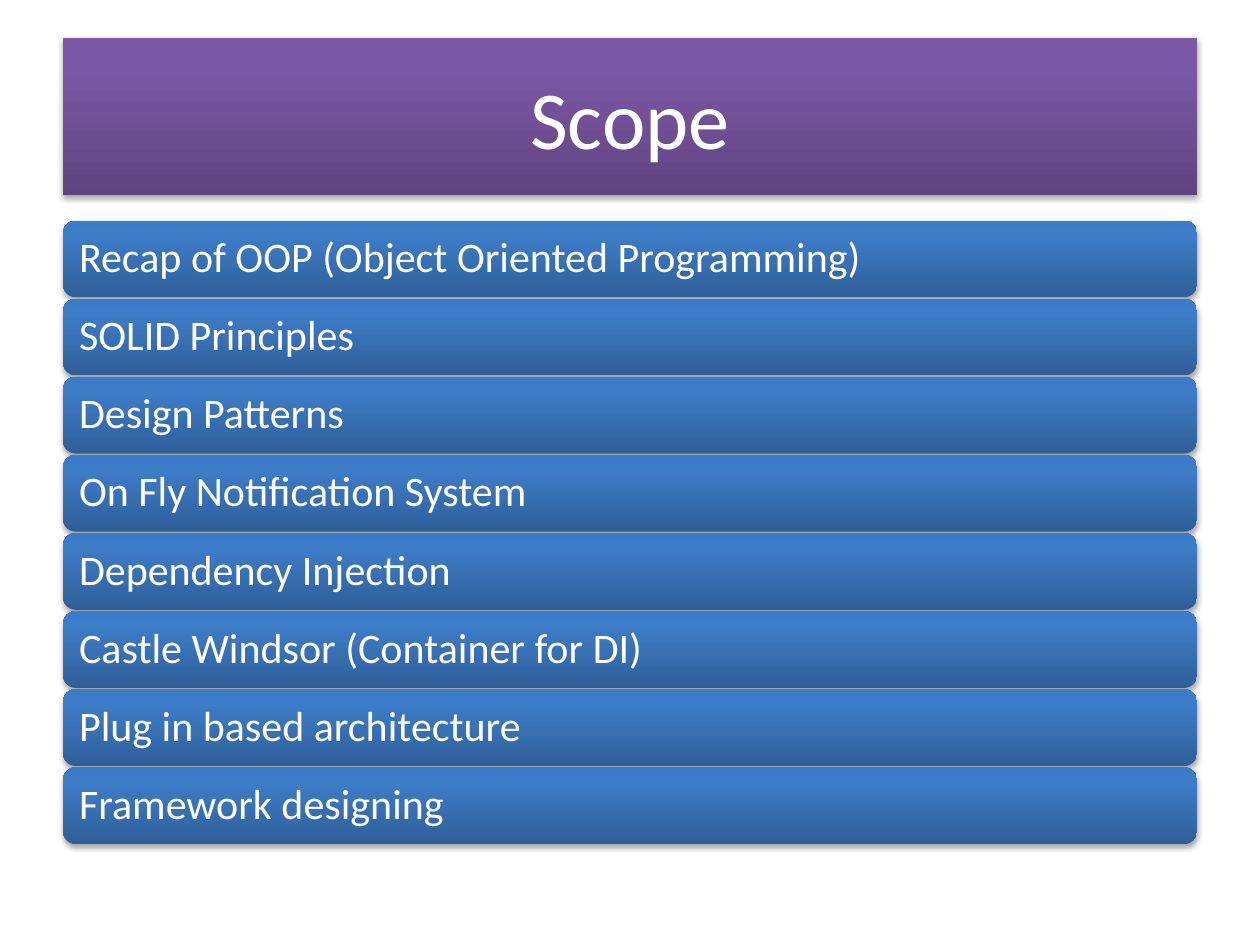
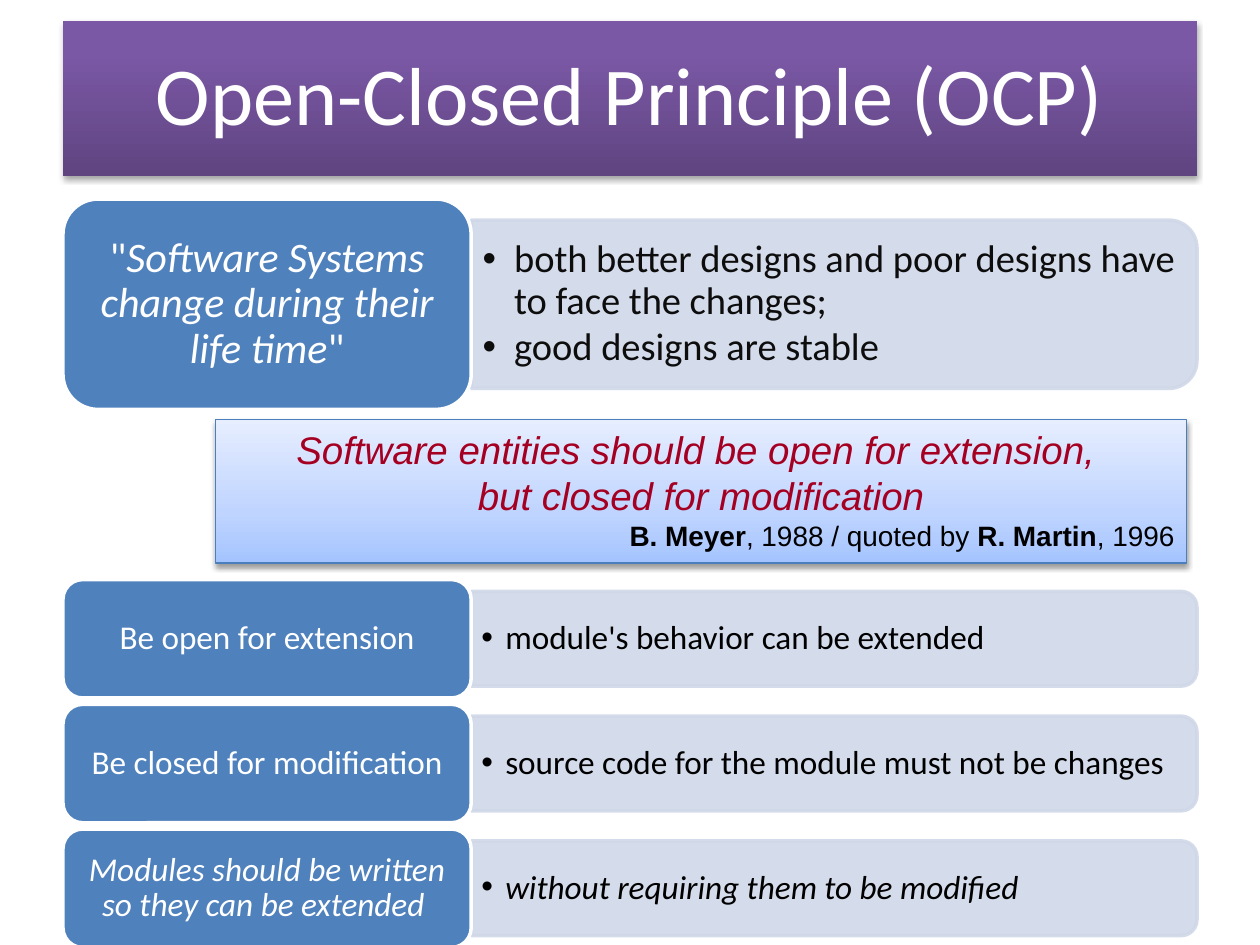
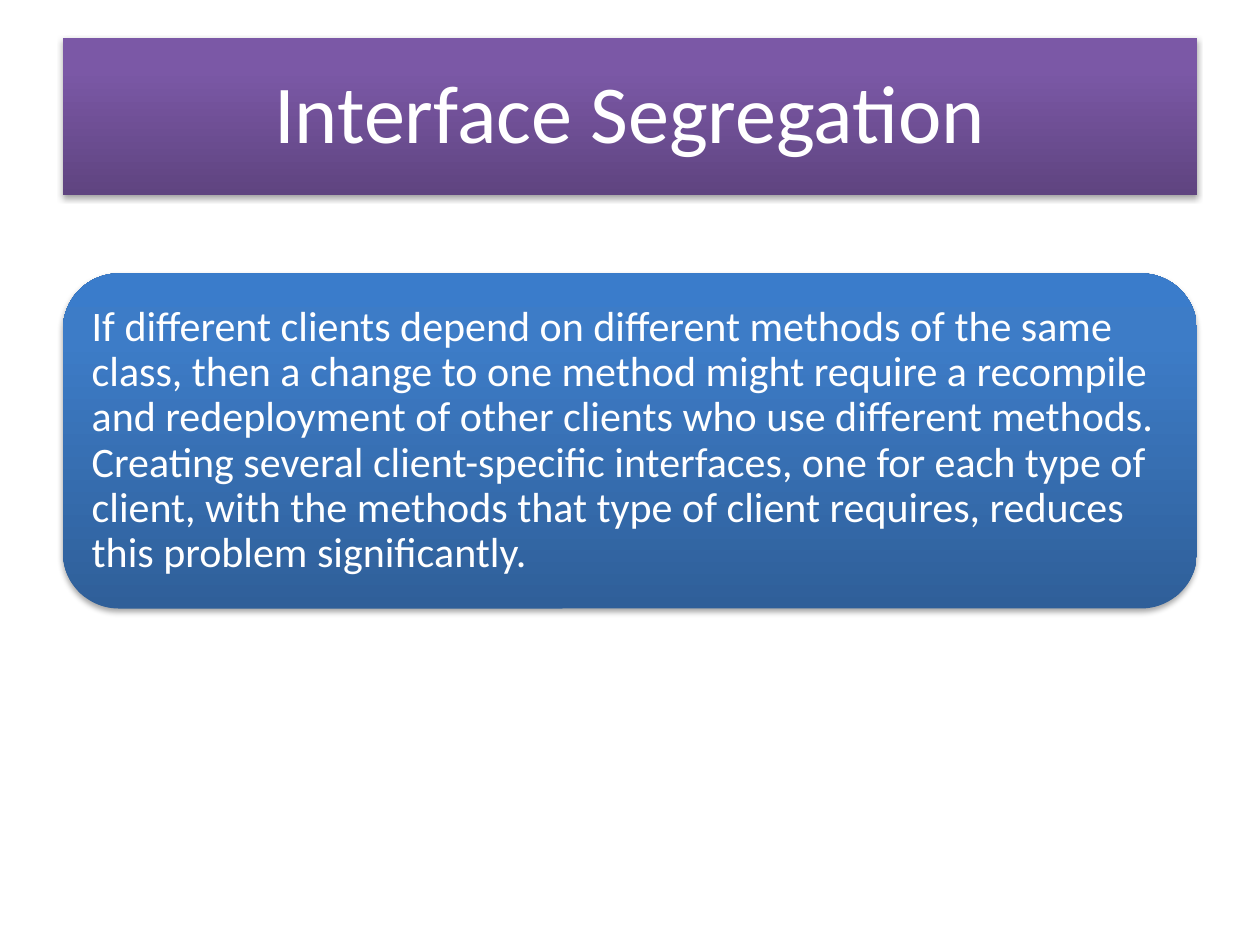
from lxml import etree
from pptx import Presentation
from pptx import util as u
from pptx.dml import color
from pptx.enum import shapes, text
from pptx.oxml import ns

COLORS = {
    "white": "FFFFFF", "black": "000000", "ink": "0D0D0D",
    "head": "4F81BD", "panel": "D0D8E8", "quote": "A50021", "quote_edge": "4B7EBC",
}
GRADIENTS = {
    "purple": [(0, "5F4480"), (80, "7B58A6"), (100, "7C57A8")],
    "blue": [(0, "2F5F99"), (80, "3D7CC7"), (100, "3A7CCB")],
    "sky": [(0, "A4C4FF"), (35, "BFD4FF"), (100, "E6EEFF")],
}
LEFT, WIDTH = 0.5, 9
HEAD_WIDTH = 3.24
CENTER, RIGHT = text.PP_ALIGN.CENTER, text.PP_ALIGN.RIGHT
RECT, ROUND = shapes.MSO_SHAPE.RECTANGLE, shapes.MSO_SHAPE.ROUNDED_RECTANGLE


def rgb(name):
    return color.RGBColor.from_string(COLORS[name])


def child(parent, tag, **attributes):
    values = {key: str(value) for key, value in attributes.items()}
    return etree.SubElement(parent, ns.qn("a:" + tag), values)


class Deck:
    def __init__(self):
        self.prs = Presentation()
        self.prs.slide_width, self.prs.slide_height = u.Inches(10), u.Inches(7.5)
        self.slide = None

    def new_slide(self):
        self.slide = self.prs.slides.add_slide(self.prs.slide_layouts[5])

    def gradient(self, shape, name, alpha=35):
        props = shape._element.spPr
        fill = etree.Element(ns.qn("a:gradFill"), rotWithShape="1")
        stops = child(fill, "gsLst")
        for position, value in GRADIENTS[name]:
            child(child(stops, "gs", pos=position * 1000), "srgbClr", val=value)
        child(fill, "lin", ang=270 * 60000, scaled=0)
        props.find(ns.qn("a:prstGeom")).addnext(fill)
        shape.shadow.inherit = False
        shadow = child(props.find(ns.qn("a:effectLst")), "outerShdw", blurRad=u.Pt(3.1),
                       dist=u.Pt(1.8), dir=90 * 60000, rotWithShape=0)
        child(child(shadow, "srgbClr", val=COLORS["black"]), "alpha", val=alpha * 1000)

    def label(self, shape, paragraphs, size, ink="white", font="Calibri", align=None,
              spacing=0.9, inset=(0.1, 0.1), anchor=text.MSO_ANCHOR.MIDDLE):
        frame = shape.text_frame
        frame.word_wrap = True
        frame.auto_size = text.MSO_AUTO_SIZE.NONE
        frame.vertical_anchor = anchor
        frame.margin_left = frame.margin_right = u.Inches(inset[0])
        frame.margin_top = frame.margin_bottom = u.Inches(inset[1])
        for number, pieces in enumerate(paragraphs):
            paragraph = frame.add_paragraph() if number else frame.paragraphs[0]
            paragraph.alignment = align or text.PP_ALIGN.LEFT
            paragraph.line_spacing = spacing
            for words, style in [(pieces, "")] if isinstance(pieces, str) else pieces:
                run = paragraph.add_run()
                run.text = words
                run.font.name, run.font.size = font, u.Pt(size)
                run.font.color.rgb = rgb(ink)
                run.font.italic, run.font.bold = "i" in style, "b" in style
        return frame

    def box(self, kind, left, top, width, height):
        shape = self.slide.shapes.add_shape(
            kind, *[u.Inches(side) for side in (left, top, width, height)])
        shape.shadow.inherit = False
        return shape

    def title(self, words, top=0.3, height=1.25, rounded=True):
        title = self.slide.shapes.title
        title.left, title.top = u.Inches(LEFT), u.Inches(top)
        title.width, title.height = u.Inches(WIDTH), u.Inches(height)
        geometry = child(title._element.spPr, "prstGeom", prst="roundRect" if rounded else "rect")
        child(geometry, "avLst")
        self.gradient(title, "purple")
        self.label(title, [words], 47, align=CENTER, spacing=0.9 if rounded else 1.0,
                   inset=(0.2, 0.2) if rounded else (0.1, 0.05))

    def bar(self, words, top, height):
        bar = self.box(ROUND, LEFT, top, WIDTH, height)
        bar.line.fill.background()
        self.gradient(bar, "blue")
        self.label(bar, [words], 24)

    def panel(self, left, top, width, height):
        panel = self.box(shapes.MSO_SHAPE.ROUND_2_SAME_RECTANGLE, left + (width - height) / 2,
                         top + (height - width) / 2, height, width)
        panel.rotation = 90
        panel.fill.solid()
        panel.fill.fore_color.rgb = panel.line.color.rgb = rgb("panel")
        panel.line.width = u.Pt(2)
        for tint in list(panel._element.spPr.iter(ns.qn("a:srgbClr"))):
            child(tint, "alpha", val=90000)

    def bullets(self, items, left, top, width, height, size, ink, indent, inset):
        area = self.slide.shapes.add_textbox(
            *[u.Inches(side) for side in (left, top, width, height)])
        frame = self.label(area, items, size, ink, inset=inset)
        for paragraph in frame.paragraphs:
            paragraph.space_after = u.Pt(round(size * 0.15))
            props = paragraph._p.get_or_add_pPr()
            props.set("marL", str(u.Inches(indent)))
            props.set("indent", str(-u.Inches(indent)))
            child(props, "buFont", typeface="Arial")
            child(props, "buChar", char="•")

    def row(self, heading, items, top, height, size, list_size, ink, indent, head_inset,
            list_inset):
        left, width = LEFT + HEAD_WIDTH, WIDTH - HEAD_WIDTH
        panel_top, panel_height = top + 0.1 * height, 0.8 * height
        self.panel(left, panel_top, width, panel_height)
        self.bullets(items, left, panel_top + 0.05 * panel_height, width - 0.05,
                     0.9 * panel_height, list_size, ink, indent, list_inset)
        head = self.box(ROUND, LEFT, top, HEAD_WIDTH, height)
        head.fill.solid()
        head.fill.fore_color.rgb = rgb("head")
        head.line.color.rgb, head.line.width = rgb("white"), u.Pt(2)
        self.label(head, [heading], size, align=CENTER, inset=head_inset)

    def quote(self, lines, source, left, top, width, height):
        quote = self.box(RECT, left, top, width, height)
        quote.line.color.rgb, quote.line.width = rgb("quote_edge"), u.Pt(0.75)
        self.gradient(quote, "sky", alpha=38)
        frame = self.label(quote, lines + [source], 22, "quote", "Arial", CENTER, 1.0,
                           (0.1, 0.05), text.MSO_ANCHOR.TOP)
        credit = frame.paragraphs[-1]
        credit.alignment = RIGHT
        for run in credit.runs:
            run.font.size, run.font.color.rgb = u.Pt(16), rgb("black")


deck = Deck()

deck.new_slide()
deck.title("Scope", rounded=False)
topics = [
    "Recap of OOP (Object Oriented Programming)", "SOLID Principles", "Design Patterns",
    "On Fly Notification System", "Dependency Injection", "Castle Windsor (Container for DI)",
    "Plug in based architecture", "Framework designing",
]
for index, topic in enumerate(topics):
    deck.bar(topic, 1.75 + 0.62 * index, 0.61)

deck.new_slide()
deck.title("Open-Closed Principle (OCP)", top=0.17, height=1.23)
deck.row([('"', ""), ("Software Systems change during their life time", "i"), ('"', "")],
         ["both better designs and poor designs have to face the changes;",
          "good designs are stable"],
         1.58, 1.67, 24, 22, "ink", 0.25, (0.1, 0.05), (0.09, 0.05))
deck.quote([[("Software entities should be open for extension, ", "i")],
            [("but closed for modification", "i")]],
           [("B. Meyer", "b"), (", 1988 / quoted by ", ""), ("R. Martin", "b"), (", 1996", "")],
           1.71, 3.33, 7.71, 1.14)
rules = [
    ("Be open for extension", "module's behavior can be extended", ""),
    ("Be closed for modification", "source code for the module must not be changes", ""),
    ("Modules should be written so they can be extended ",
     "without requiring them to be modified", "i"),
]
for index, (rule, meaning, style) in enumerate(rules):
    deck.row([(rule, style)], [[(meaning, style)]], 4.6 + 0.99 * index, 0.94, 19, 19, "black",
             0.19, (0.08, 0.04), (0.08, 0.04))

deck.new_slide()
deck.title("Interface Segregation")
deck.bar("If different clients depend on different methods of the same class, then a change to "
         "one method might require a recompile and redeployment of other clients who use "
         "different methods. Creating several client-specific interfaces, one for each type of "
         "client, with the methods that type of client requires, reduces this problem "
         "significantly.", 2.17, 2.66)

deck.prs.save("out.pptx")
